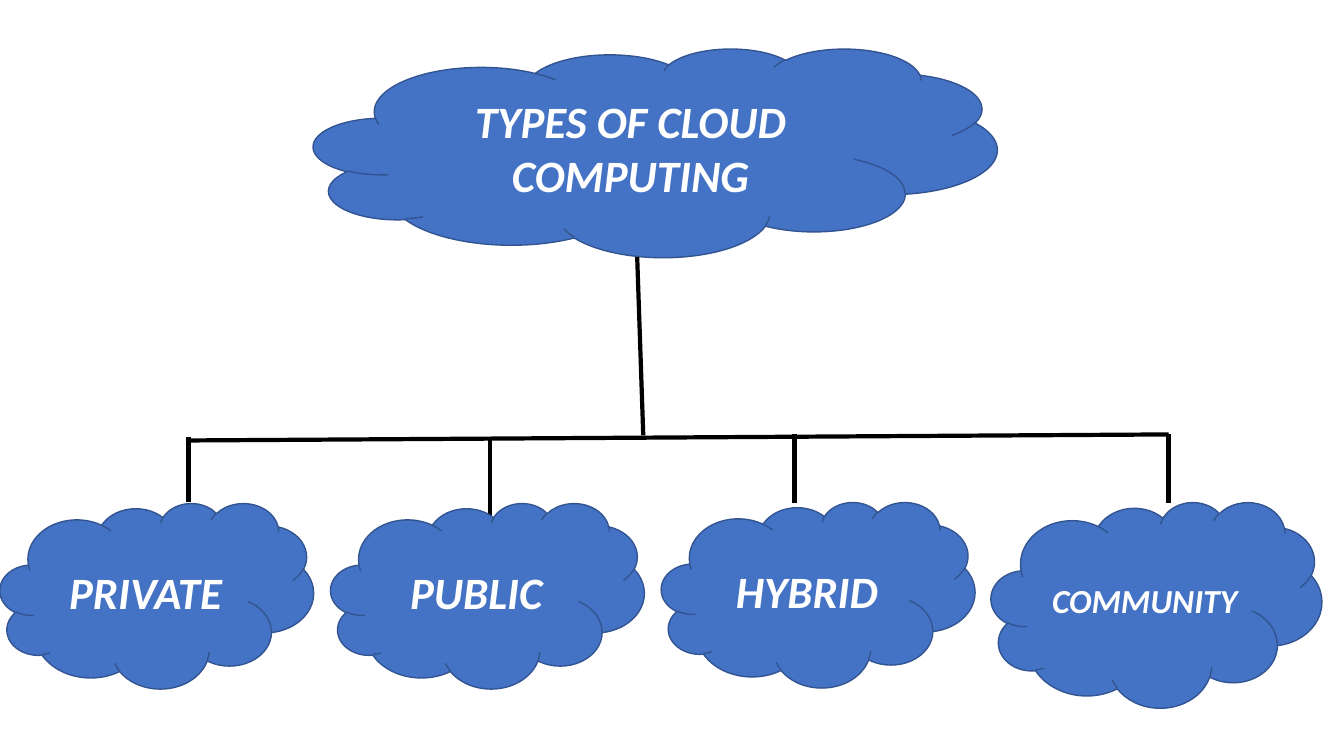
from typing import NamedTuple

from lxml import etree
from pptx import Presentation
from pptx import util as u
from pptx.dml.color import RGBColor
from pptx.enum import shapes, text
from pptx.oxml.ns import qn

COLOURS = {"cloud": "4472C4", "outline": "325491", "label": "FFFFFF", "branch": "000000"}
FONT = "Calibri"


class Cloud(NamedTuple):
    left: float
    top: float
    width: float = 3.11
    height: float = 1.84
    label: str = ""
    size: int = 32


class Branch(NamedTuple):
    x1: float
    y1: float
    x2: float
    y2: float


def colour(name: str) -> RGBColor:
    return RGBColor.from_string(COLOURS[name])


def write_label(frame, label: str, size: int) -> None:
    frame.word_wrap = True
    frame.auto_size = text.MSO_AUTO_SIZE.NONE
    frame.vertical_anchor = text.MSO_ANCHOR.MIDDLE
    paragraph = frame.paragraphs[0]
    paragraph.alignment = text.PP_ALIGN.CENTER
    run = paragraph.add_run()
    run.text = label
    run.font.name = FONT
    run.font.size = u.Pt(size)
    run.font.bold = run.font.italic = True
    run.font.color.rgb = colour("label")


def draw_cloud(slide, cloud: Cloud) -> None:
    shape = slide.shapes.add_shape(
        shapes.MSO_SHAPE.CLOUD, u.Inches(cloud.left), u.Inches(cloud.top),
        u.Inches(cloud.width), u.Inches(cloud.height))
    shape.shadow.inherit = False
    shape.fill.solid()
    shape.fill.fore_color.rgb = colour("cloud")
    shape.line.color.rgb = colour("outline")
    shape.line.width = u.Pt(1)
    if cloud.label:
        write_label(shape.text_frame, cloud.label, cloud.size)


def draw_title(slide, heading: str) -> None:
    title = slide.shapes.title
    title.left, title.top = u.Inches(4.04), u.Inches(0.79)
    title.width, title.height = u.Inches(4.43), u.Inches(1.35)
    write_label(title.text_frame, heading, 32)
    title._element.getparent().append(title._element)


def draw_branch(slide, branch: Branch) -> None:
    connector = slide.shapes.add_connector(
        shapes.MSO_CONNECTOR.STRAIGHT, *(u.Inches(value) for value in branch))
    connector.line.color.rgb = colour("branch")
    connector.line.width = u.Pt(3)
    etree.SubElement(connector._element.spPr, qn("a:effectLst"))


heading_cloud = Cloud(3.11, 0.48, 6.78, 2.07)
trunk = Branch(6.32, 2.55, 6.38, 4.32)
crossbar = Branch(11.59, 4.31, 1.87, 4.37)
drops = [Branch(x, top, x, bottom) for x, top, bottom in (
    (1.87, 4.34, 4.98), (4.86, 4.34, 5.19), (7.88, 4.31, 4.99), (11.59, 4.31, 4.99))]
cloud_types = [
    Cloud(0, 4.99, label="PRIVATE"),
    Cloud(3.28, 4.99, label="PUBLIC"),
    Cloud(6.56, 4.98, label="HYBRID"),
    Cloud(9.83, 4.98, 3.28, 2.04, "COMMUNITY", 24),
]

presentation = Presentation()
presentation.slide_width = u.Inches(13.33)
presentation.slide_height = u.Inches(7.5)
slide = presentation.slides.add_slide(presentation.slide_layouts.get_by_name("Title Only"))
draw_cloud(slide, heading_cloud)
draw_title(slide, "TYPES OF CLOUD COMPUTING")
for branch in (trunk, crossbar, *drops):
    draw_branch(slide, branch)
for cloud_type in cloud_types:
    draw_cloud(slide, cloud_type)
presentation.save("out.pptx")
